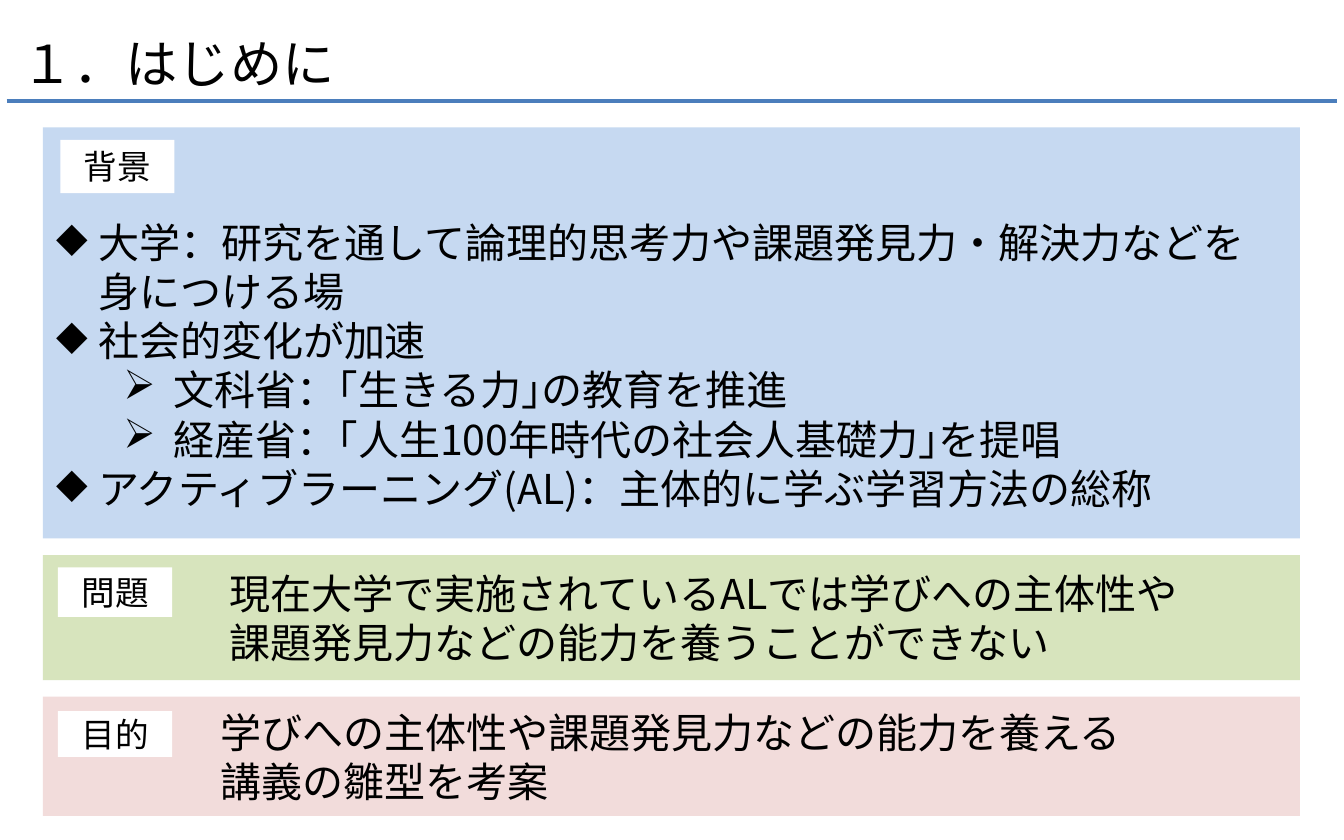
import pptx
import pptx.util
import pptx.dml.color
import pptx.enum.shapes
import pptx.enum.text
import pptx.oxml.ns
import lxml.etree

Pt = pptx.util.Pt
RGBColor = pptx.dml.color.RGBColor
qn = pptx.oxml.ns.qn
ANCHOR = pptx.enum.text.MSO_ANCHOR
ALIGN = pptx.enum.text.PP_ALIGN
FONT = "Noto Sans CJK JP"
COLORS = {
    "background": "C6D9F1",
    "problem": "D7E4BD",
    "purpose": "F2DCDB",
    "label": "FFFFFF",
    "rule": "4B7EBC",
    "text": "000000",
}

presentation = pptx.Presentation()
presentation.slide_width = Pt(720)
presentation.slide_height = Pt(450)
slide = presentation.slides.add_slide(presentation.slide_layouts[6])


def add_rectangle(left, top, width, height, color):
    """Add a borderless filled rectangle and return it."""
    shape = slide.shapes.add_shape(
        pptx.enum.shapes.MSO_SHAPE.RECTANGLE, Pt(left), Pt(top), Pt(width), Pt(height))
    shape.shadow.inherit = False
    shape.fill.solid()
    shape.fill.fore_color.rgb = RGBColor.from_string(COLORS[color])
    shape.line.fill.background()
    return shape


def write(shape, lines, size, anchor=ANCHOR.MIDDLE, align=ALIGN.LEFT):
    """Write one paragraph per line and return the paragraphs."""
    frame = shape.text_frame
    frame.word_wrap = True
    frame.vertical_anchor = anchor
    for index, line in enumerate(lines):
        paragraph = frame.add_paragraph() if index else frame.paragraphs[0]
        paragraph.text = line
        paragraph.alignment = align
        font = paragraph.font
        font.name = FONT
        font.size = Pt(size)
        font.color.rgb = RGBColor.from_string(COLORS["text"])
        properties = paragraph._p.pPr.find(qn("a:defRPr"))
        lxml.etree.SubElement(properties, qn("a:ea"), typeface=FONT)
    return frame.paragraphs


# Title and rule
title = slide.shapes.add_textbox(Pt(4.3), Pt(13), Pt(250.6), Pt(41))
write(title, ["１．はじめに"], 28, ANCHOR.TOP)
rule = slide.shapes.add_connector(
    pptx.enum.shapes.MSO_CONNECTOR.STRAIGHT, Pt(3.6), Pt(54), Pt(716.4), Pt(54))
rule.line.color.rgb = RGBColor.from_string(COLORS["rule"])
rule.line.width = Pt(2.25)
lxml.etree.SubElement(rule._element.spPr, qn("a:effectLst"))

# Panels: colour, top, height, then label text, left, top, height
panels = [
    ("background", 68.2, 220.3, "背景", 32.3, 74.9, 28.6),
    ("problem", 297.4, 67, "問題", 31, 304, 26.6),
    ("purpose", 373.2, 63.9, "目的", 31, 381, 24.5),
]
for color, top, height, label, label_left, label_top, label_height in panels:
    add_rectangle(23, top, 673.4, height, color)
    tag = add_rectangle(label_left, label_top, 61.2, label_height, "label")
    write(tag, [label], 18, align=ALIGN.CENTER)

# Bulleted background: level and text
points = [
    (0, "大学：研究を通して論理的思考力や課題発見力・解決力などを\n身につける場"),
    (0, "社会的変化が加速"),
    (1, "文科省：｢生きる力｣の教育を推進"),
    (1, "経産省：｢人生100年時代の社会人基礎力｣を提唱"),
    (0, "アクティブラーニング(AL)：主体的に学ぶ学習方法の総称"),
]
bullets = [("◆", 22.5, -22.5), ("➢", 63, -27)]
body = slide.shapes.add_textbox(Pt(23), Pt(103), Pt(684), Pt(185))
paragraphs = write(body, [text for level, text in points], 22)
for paragraph, (level, text) in zip(paragraphs, points):
    character, margin, indent = bullets[level]
    paragraph.level = level
    properties = paragraph._p.pPr
    properties.set("marL", str(Pt(margin)))
    properties.set("indent", str(Pt(indent)))
    bullet = lxml.etree.Element(qn("a:buChar"), char=character)
    properties.insert(0, bullet)

# Statements beside the lower labels
statements = [
    (115.9, 297.4, 531.4, 67,
     ["現在大学で実施されているALでは学びへの主体性や課題発見力などの能力を養うことができない"]),
    (110.9, 373.2, 499.7, 63.9,
     ["学びへの主体性や課題発見力などの能力を養える", "講義の雛型を考案"]),
]
for left, top, width, height, lines in statements:
    box = slide.shapes.add_textbox(Pt(left), Pt(top), Pt(width), Pt(height))
    write(box, lines, 22)

presentation.save("out.pptx")
